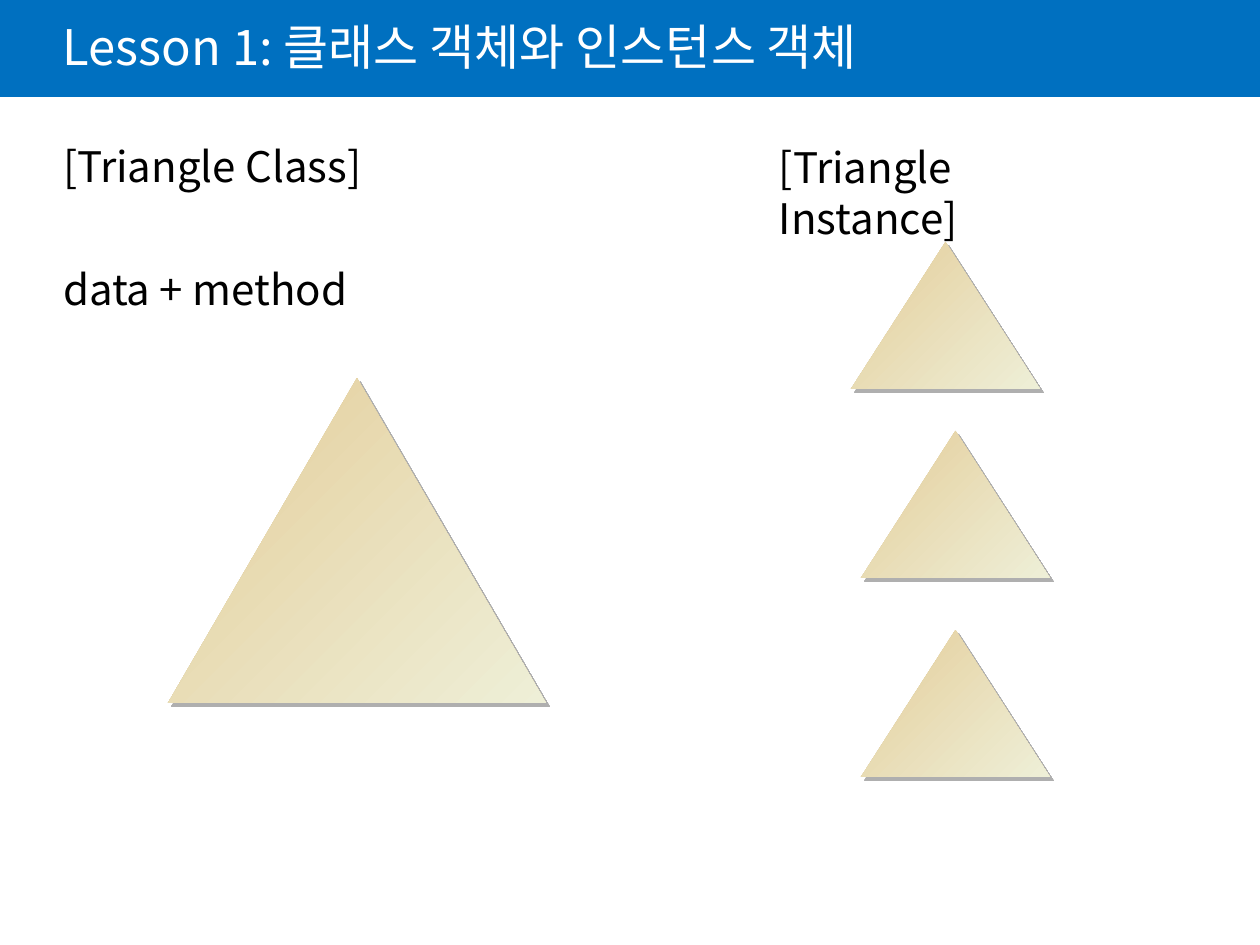
from typing import NamedTuple

from lxml.etree import SubElement
from pptx import Presentation
from pptx.dml.color import RGBColor
from pptx.enum.shapes import MSO_SHAPE
from pptx.enum.text import MSO_ANCHOR
from pptx.oxml.ns import qn
from pptx.util import Emu, Pt

PX = 914400 // 126
FONT = "Noto Sans CJK KR"
BLUE = RGBColor(0x00, 0x70, 0xC0)
WHITE = RGBColor(0xFF, 0xFF, 0xFF)
BLACK = RGBColor(0x00, 0x00, 0x00)
SAND = RGBColor(0xE4, 0xCD, 0x9A)
CREAM = RGBColor(0xEE, 0xEF, 0xD7)
GRAY = RGBColor(0xAF, 0xAF, 0xAF)


class Box(NamedTuple):
    x: int
    y: int
    w: int
    h: int

    def emu(self) -> list[Emu]:
        return [Emu(v * PX) for v in self]


BAR = Box(0, 0, 1260, 97)
TITLE = Box(63, 0, 1071, 102)
BODY = Box(63, 141, 690, 709)
LABEL = Box(766, 136, 374, 63)
MODEL = Box(168, 378, 378, 325)
COPIES = [Box(x, y, 189, 147) for x, y in ((851, 242), (861, 431), (861, 630))]


def add_text(slide, box: Box, *lines: str, size: int = 24,
             color: RGBColor = BLACK, pad: tuple = (0, 0, 0, 0),
             anchor=MSO_ANCHOR.TOP, pitch: float = 1.0, gap: int = 0) -> None:
    frame = slide.shapes.add_textbox(*box.emu()).text_frame
    frame.word_wrap = True
    frame.vertical_anchor = anchor
    (frame.margin_left, frame.margin_top,
     frame.margin_right, frame.margin_bottom) = [Emu(v * PX) for v in pad]
    for i, line in enumerate(lines):
        para = frame.add_paragraph() if i else frame.paragraphs[0]
        para.line_spacing = pitch
        para.space_before = Pt(gap if i else 0)
        run = para.add_run()
        run.text = line
        font = run.font
        font.size = Pt(size)
        font.name = FONT
        font.color.rgb = color
        SubElement(run._r.get_or_add_rPr(), qn("a:ea"), typeface=FONT)


def add_shade(shape) -> None:
    effects = SubElement(shape._element.spPr, qn("a:effectLst"))
    shade = SubElement(effects, qn("a:outerShdw"), dist=str(Pt(2.8)),
                       dir="2700000", algn="ctr", rotWithShape="0")
    SubElement(shade, qn("a:srgbClr"), val=str(GRAY))


def add_cone(slide, box: Box) -> None:
    shape = slide.shapes.add_shape(MSO_SHAPE.ISOSCELES_TRIANGLE, *box.emu())
    shape.line.fill.background()
    fill = shape.fill
    fill.gradient()
    fill.gradient_angle = 315
    for stop, place, color in zip(fill.gradient_stops, (0, 1), (SAND, CREAM)):
        stop.position = place
        stop.color.rgb = color
    add_shade(shape)


def add_bar(slide, box: Box) -> None:
    shape = slide.shapes.add_shape(MSO_SHAPE.RECTANGLE, *box.emu())
    shape.shadow.inherit = False
    shape.fill.solid()
    shape.fill.fore_color.rgb = BLUE
    shape.line.fill.background()


def main() -> None:
    deck = Presentation()
    deck.slide_width, deck.slide_height = Emu(1260 * PX), Emu(945 * PX)
    slide = deck.slides.add_slide(deck.slide_layouts[6])
    add_bar(slide, BAR)
    add_text(slide, TITLE, "Lesson 1: 클래스 객체와 인스턴스 객체", size=28,
             color=WHITE, pad=(0, 6, 13, 6), anchor=MSO_ANCHOR.MIDDLE,
             pitch=0.85)
    add_text(slide, BODY, "[Triangle Class]", "data + method", gap=41)
    for box in (MODEL, *COPIES):
        add_cone(slide, box)
    add_text(slide, LABEL, "[Triangle Instance]", pad=(13, 6, 13, 6))
    deck.save("out.pptx")


if __name__ == "__main__":
    main()
